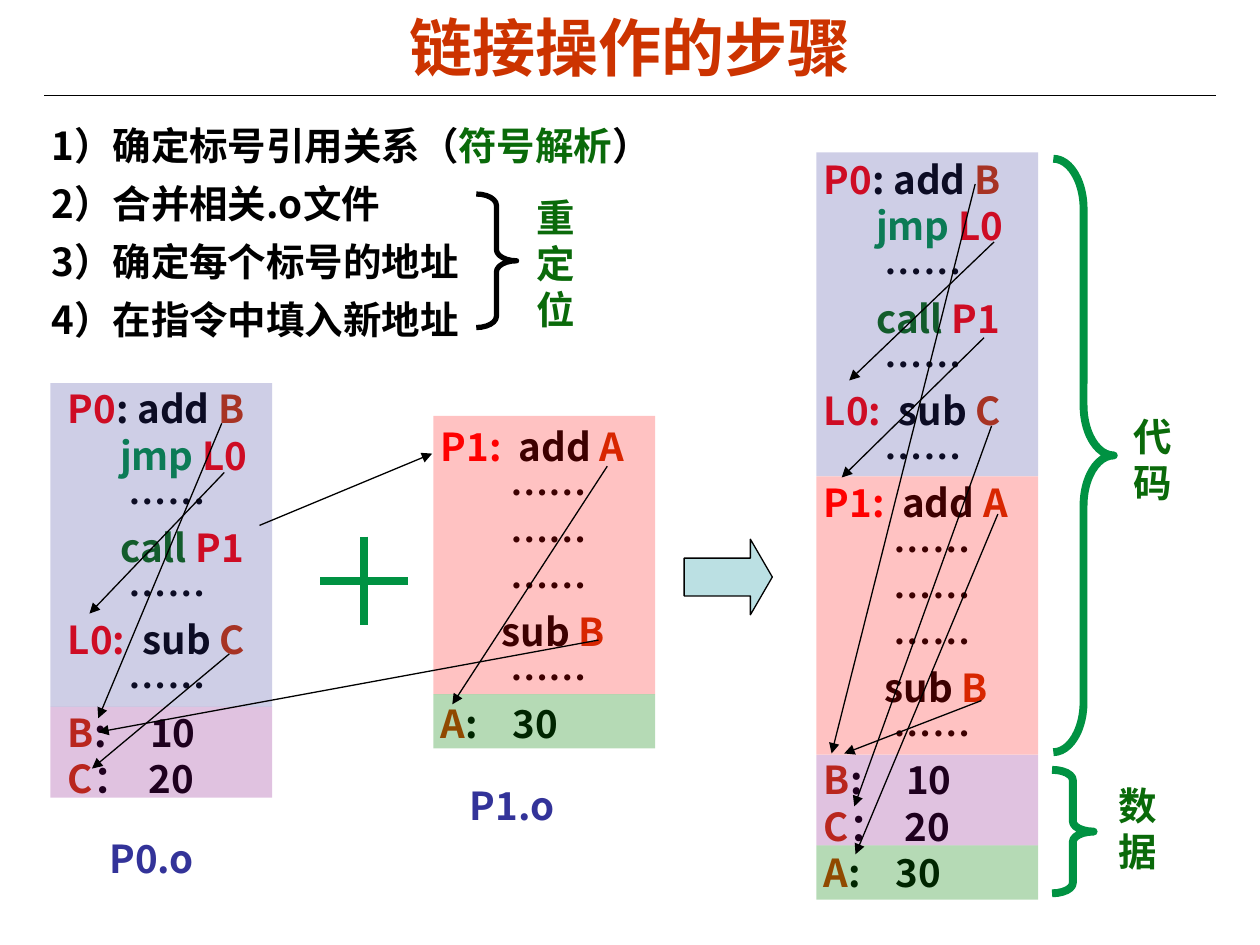
from lxml import etree
from pptx import Presentation
from pptx.dml.color import RGBColor
from pptx.enum.shapes import MSO_CONNECTOR, MSO_SHAPE
from pptx.enum.text import MSO_ANCHOR, MSO_AUTO_SIZE, PP_ALIGN
from pptx.oxml.ns import qn
from pptx.util import Inches, Pt

STRAIGHT = MSO_CONNECTOR.STRAIGHT
RECT, BRACE, ARROW = MSO_SHAPE.RECTANGLE, MSO_SHAPE.RIGHT_BRACE, MSO_SHAPE.RIGHT_ARROW
MIDDLE, TOP = MSO_ANCHOR.MIDDLE, MSO_ANCHOR.TOP
CENTER, LEFT = PP_ALIGN.CENTER, PP_ALIGN.LEFT
FIXED = MSO_AUTO_SIZE.NONE

COLS, ROWS = 100, 75
SANS, CJK = "Arial", "Noto Sans CJK SC"
COLORS = {
    "black": "000000", "red": "FF0000", "symbol": "CC3300", "green": "009242",
    "dark_green": "0A6A0A", "navy": "333399", "purple": "800080",
    "leaf": "008000", "aqua": "BBE0E3",
}

STEPS = [
    [("1）确定标号引用关系（", "black"), ("符号解析", "dark_green"), ("）", "black")],
    [("2）合并相关.o文件", "black")],
    [("3）确定每个标号的地址", "black")],
    [("4）在指令中填入新地址", "black")],
]
P0_DOTS = [("       ……", "black")]
P1_DOTS = [("        ……", "black")]
P0_CODE = [
    [("P0", "red"), (": add ", "black"), ("B", "symbol")],
    [("      jmp ", "green"), ("L0", "red")],
    P0_DOTS,
    [("      call ", "dark_green"), ("P1", "red")],
    P0_DOTS,
    [("L0:  ", "red"), ("sub ", "black"), ("C", "symbol")],
    P0_DOTS,
]
P1_CODE = [
    [("P1:  ", "red"), ("add ", "black"), ("A", "symbol")],
    P1_DOTS, P1_DOTS, P1_DOTS,
    [("       sub ", "black"), ("B", "symbol")],
    P1_DOTS,
]
P0_DATA = [
    [("B", "symbol"), (":     10", "black")],
    [("C", "symbol"), ("：  20", "black")],
]
P1_DATA = [[("A", "symbol"), (":    30", "black")]]

# Section: lines, height in rows, tint, opacity in percent
SECTIONS = {
    "P0 code": (P0_CODE, 25.7, "navy", 24),
    "P1 code": (P1_CODE, 22.1, "red", 24),
    "P0 data": (P0_DATA, 7.2, "purple", 24),
    "P1 data": (P1_DATA, 4.3, "leaf", 29),
}
# Module: sections, corner of the tinted bands, box of the listing
MODULES = [
    (["P0 code", "P1 code", "P0 data", "P1 data"], (64.8, 12.1), (64.4, 11.9, 20.5, 59.7)),
    (["P1 code", "P1 data"], (34.4, 33), (34, 33.1, 19, 26.7)),
    (["P0 code", "P0 data"], (4, 30.4), (4.4, 30.1, 20.5, 34)),
]
FILE_NAMES = [("P1.o", (36.3, 61.6, 10.2, 4.7)), ("P0.o", (7.7, 65.8, 10.2, 4.7))]
# Brace: box, curl, colour, line width, label, label box
BRACES = [
    ((83.6, 12.6, 4.8, 47.1), 0.83, "green", 4.5, "代码", (89, 32.3, 7, 8.4)),
    ((83.5, 61.1, 3.3, 9.8), 0.25, "green", 4.5, "数据", (87.8, 61.6, 7, 8.4)),
    ((37.8, 15.4, 3.2, 10.6), 0.28, "black", 3, "重定位", (41.6, 14.9, 5.9, 12)),
]
PLUS_STROKES = [((25.4, 46.1), (32.4, 46.1)), ((28.9, 42.6), (28.9, 49.6))]
REFERENCES = [
    # merged file
    ((77.4, 14.6), (66, 59.8)), ((77.9, 55.6), (67, 59.8)),
    ((79.2, 40.8), (67.9, 67.8)), ((78.7, 33.8), (67.8, 64)),
    ((78.9, 19.2), (67.4, 30.2)), ((78.1, 26.8), (66.8, 37.9)),
    # separate files
    ((20.6, 41.7), (34.3, 36)), ((17.8, 37.5), (7.1, 48.7)),
    ((17.6, 33.6), (7.8, 57)), ((18.2, 51.9), (7.3, 61)),
    ((48.2, 37), (35.9, 55.9)), ((47.5, 50.8), (7.8, 58.1)),
]


class LinkingSlide:
    """Holds the style and the slide; lengths are columns and rows of a grid."""

    def __init__(self, prs):
        self.col, self.row = prs.slide_width / COLS, prs.slide_height / ROWS
        self.slide = prs.slides.add_slide(prs.slide_layouts[1])
        self.shapes = self.slide.shapes

    def at(self, *lengths):
        """Turn alternating columns and rows into EMU."""
        return [round(n * (self.row if i % 2 else self.col)) for i, n in enumerate(lengths)]

    def color(self, name):
        return RGBColor.from_string(COLORS[name])

    def fill_text(self, frame, lines, font=CJK, size=22, anchor=TOP, **spacing):
        """Fill a text frame with lines, each a list of (text, colour) runs."""
        for name, value in {"word_wrap": True, "auto_size": FIXED,
                            "vertical_anchor": anchor}.items():
            setattr(frame, name, value)
        for i, line in enumerate(lines):
            paragraph = frame.add_paragraph() if i else frame.paragraphs[0]
            for name, value in spacing.items():
                setattr(paragraph, name, value)
            if not i:
                paragraph.space_before = Pt(0)
            for words, color in line:
                run = paragraph.add_run()
                run.text = words
                for name, value in {"name": font, "size": Pt(size), "bold": True}.items():
                    setattr(run.font, name, value)
                run.font.color.rgb = self.color(color)
                etree.SubElement(run.font._element, qn("a:ea"), typeface=CJK)

    def placeholder(self, index, box):
        holder = self.slide.placeholders[index]
        for name, value in zip(("left", "top", "width", "height"), self.at(*box)):
            setattr(holder, name, value)
        return holder.text_frame

    def title(self, words, box):
        self.fill_text(self.placeholder(0, box), [[(words, "symbol")]], SANS, 36,
                       MIDDLE, alignment=CENTER)

    def steps(self, lines, box):
        frame = self.placeholder(1, box)
        self.fill_text(frame, lines, alignment=LEFT, line_spacing=1.05, space_before=Pt(5.5))
        for paragraph in frame.paragraphs:
            properties = paragraph._p.get_or_add_pPr()
            properties.set("marL", str(Inches(0.38)))
            properties.set("indent", str(-Inches(0.38)))
            etree.SubElement(properties, qn("a:buNone"))

    def text(self, lines, box, font=CJK):
        self.fill_text(self.shapes.add_textbox(*self.at(*box)).text_frame, lines, font)

    def shape(self, kind, box, fill=None, opacity=100, line=None, width=0.75, adjust=()):
        shape = self.shapes.add_shape(kind, *self.at(*box))
        shape.shadow.inherit = False
        for i, value in enumerate(adjust):
            shape.adjustments[i] = value
        if fill:
            shape.fill.solid()
            shape.fill.fore_color.rgb = self.color(fill)
            tint = shape._element.spPr.find(".//" + qn("a:srgbClr"))
            if opacity < 100:
                etree.SubElement(tint, qn("a:alpha"), val=str(opacity * 1000))
        else:
            shape.fill.background()
        if line:
            shape.line.color.rgb = self.color(line)
            shape.line.width = Pt(width)
        else:
            shape.line.fill.background()

    def line(self, start, end, color="black", width=0.75, arrow=False):
        line = self.shapes.add_connector(STRAIGHT, *self.at(*start, *end))
        line.line.color.rgb = self.color(color)
        line.line.width = Pt(width)
        if arrow:
            etree.SubElement(line.line._get_or_add_ln(), qn("a:tailEnd"), type="triangle")
        etree.SubElement(line._element.spPr, qn("a:effectLst"))

    def module(self, names, corner, box):
        """A listing under a stack of tinted bands, one for each section."""
        self.text([line for name in names for line in SECTIONS[name][0]], box)
        left, top = corner
        for name in names:
            _, height, tint, opacity = SECTIONS[name]
            self.shape(RECT, (left, top, 17.6, height), tint, opacity)
            top += height

    def brace(self, box, curl, color, width, label, label_box):
        self.shape(BRACE, box, line=color, width=width, adjust=(curl, 0.5))
        self.text([[(label, "dark_green")]], label_box, SANS)


def main():
    prs = Presentation()
    prs.slide_width, prs.slide_height = Inches(10), Inches(7.5)
    page = LinkingSlide(prs)
    page.line((3.5, 7.6), (96.5, 7.6))
    page.title("链接操作的步骤", (5, 0.6, 90, 6.1))
    page.steps(STEPS, (3.1, 9, 52.7, 18.8))
    for start, end in PLUS_STROKES:
        page.line(start, end, "green", 4.5)
    page.shape(ARROW, (54.3, 42.8, 7, 6), "aqua", line="black", adjust=(0.5, 0.29))
    for module in MODULES:
        page.module(*module)
    for name, box in FILE_NAMES:
        page.text([[(name, "navy")]], box)
    for brace in BRACES:
        page.brace(*brace)
    for start, end in REFERENCES:
        page.line(start, end, arrow=True)
    prs.save("out.pptx")


if __name__ == "__main__":
    main()
